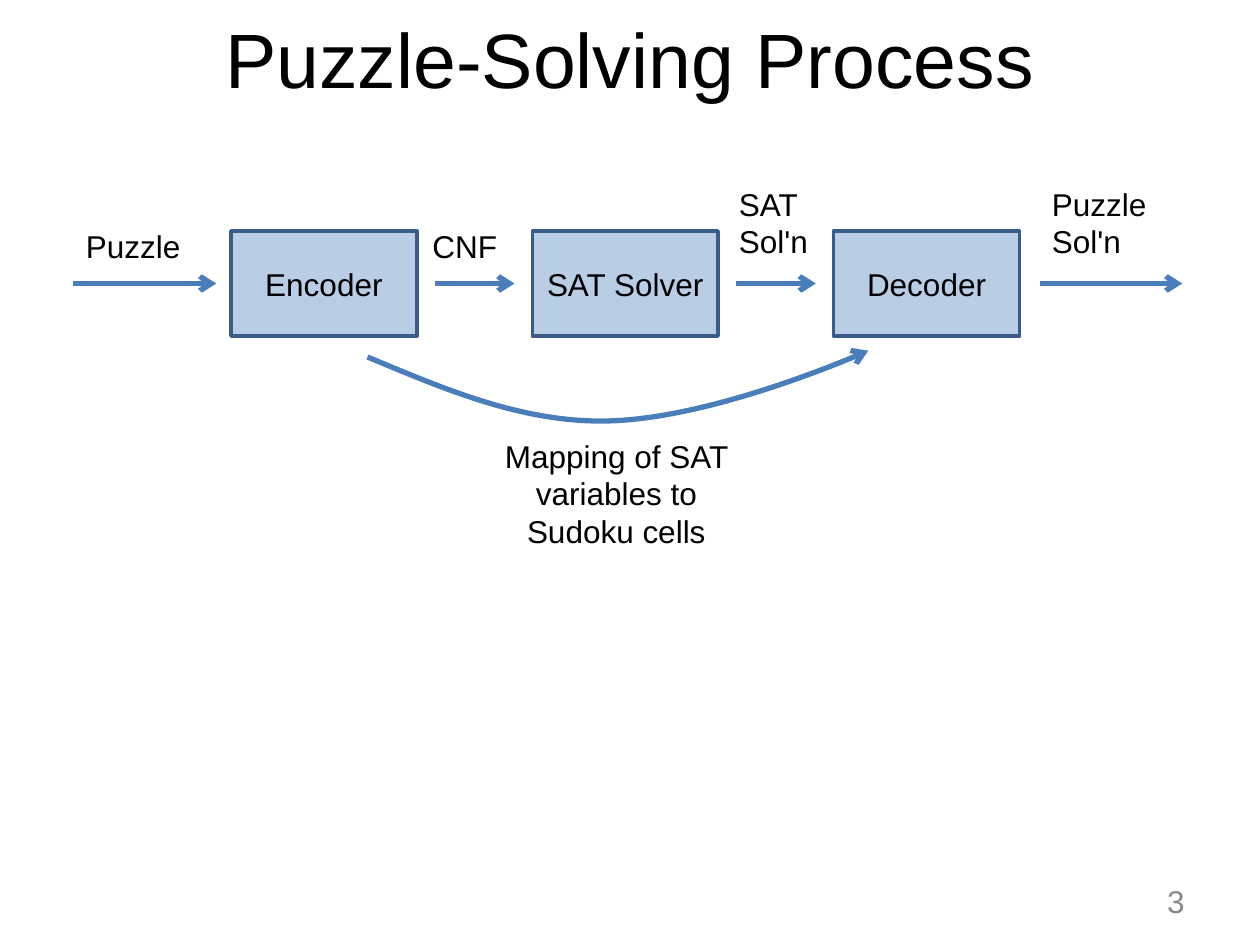
from dataclasses import dataclass

from lxml.etree import SubElement
from pptx import Presentation
from pptx.dml.color import RGBColor
from pptx.enum.shapes import MSO_CONNECTOR, MSO_SHAPE
from pptx.enum.text import MSO_ANCHOR, PP_ALIGN
from pptx.oxml.ns import qn
from pptx.util import Inches, Pt

UNIT = 1 / 12
PITCH = 28.7
SIDE = 17.7
LEVEL = 27
BLUE = "4A7EBB"
FRAME = dict(word_wrap=True, margin_left=Inches(0.1), margin_right=Inches(0.1),
             margin_top=Inches(0.05), margin_bottom=Inches(0.05))


@dataclass
class Label:
    """Text with its place in grid columns and rows."""
    text: str
    col: float
    row: float
    wide: float
    high: float
    align: PP_ALIGN = PP_ALIGN.LEFT
    anchor: MSO_ANCHOR = MSO_ANCHOR.TOP
    size: int = 18
    color: str = "000000"


@dataclass
class Arrow:
    """Level arrow between two grid columns."""
    start: float
    end: float


def grid(*cells: float) -> list:
    """Turn grid units into lengths."""
    return [Inches(cell * UNIT) for cell in cells]


def paint(target, color: str) -> None:
    """Set a hex colour on a colour format."""
    target.rgb = RGBColor.from_string(color)


def apply(target, values: dict) -> None:
    """Set each format value on the target."""
    for name, value in values.items():
        setattr(target, name, value)


def write(shape, label: Label) -> None:
    """Fill a shape with the label's text."""
    frame = shape.text_frame
    apply(frame, FRAME | dict(vertical_anchor=label.anchor))
    para = frame.paragraphs[0]
    para.text = label.text
    para.alignment = label.align
    apply(para.font, dict(name="Arial", size=Pt(label.size)))
    paint(para.font.color, label.color)


def stroke(shape, color: str, width: float) -> None:
    """Give a shape a solid line."""
    shape.line.fill.solid()
    paint(shape.line.color, color)
    shape.line.width = Pt(width)


def tip(shape) -> None:
    """Draw a blue line that ends in an open arrowhead."""
    stroke(shape, BLUE, 3)
    props = shape._element.spPr
    SubElement(props.find(qn("a:ln")), qn("a:tailEnd"), type="arrow")
    SubElement(props, qn("a:effectLst"))


def add_label(slide, label: Label) -> None:
    """Add a plain text box."""
    spot = grid(label.col, label.row, label.wide, label.high)
    write(slide.shapes.add_textbox(*spot), label)


def add_stage(slide, label: Label) -> None:
    """Add a filled box for one stage."""
    spot = grid(label.col, label.row, label.wide, label.high)
    box = slide.shapes.add_shape(MSO_SHAPE.RECTANGLE, *spot)
    box.shadow.inherit = False
    box.fill.solid()
    paint(box.fill.fore_color, "B9CDE5")
    stroke(box, "385D8A", 2)
    write(box, label)


def add_arrow(slide, arrow: Arrow) -> None:
    """Add a level arrow."""
    ends = grid(arrow.start, LEVEL, arrow.end, LEVEL)
    tip(slide.shapes.add_connector(MSO_CONNECTOR.STRAIGHT, *ends))


def add_curve(slide, points: list[tuple[float, float]]) -> None:
    """Add a curved arrow, with three points to each cubic segment."""
    spots = [tuple(grid(*point)) for point in points]
    pen = slide.shapes.build_freeform(*spots[0])
    pen.add_line_segments(spots[1:], close=False)
    curve = pen.convert_to_shape()
    curve.fill.background()
    steps = list(curve._element.iter(qn("a:lnTo")))
    for first in range(0, len(steps), 3):
        trio = steps[first:first + 3]
        route = trio[0].getparent()
        bend = SubElement(route, qn("a:cubicBezTo"))
        for step in trio:
            bend.append(step[0])
            route.remove(step)
    tip(curve)


def main() -> None:
    """Build the slide and save it."""
    deck = Presentation()
    deck.slide_width, deck.slide_height = grid(120, 90)
    slide = deck.slides.add_slide(deck.slide_layouts[6])
    mid, center = MSO_ANCHOR.MIDDLE, PP_ALIGN.CENTER

    labels = [
        Label("Puzzle-Solving Process", 6, 0, 108, 11, center, mid, 44),
        Label("Mapping of SAT variables to Sudoku cells",
              46, 41, 25.4, 12, center),
        Label("Puzzle", 7, 21, 12, 4.8),
        Label("CNF", 40, 21, 10.1, 4.8),
        Label("SAT Sol'n", 69.2, 17, 10.1, 8.4),
        Label("Puzzle Sol'n", 99, 17, 12, 8.4),
        Label("3", 86, 83.4, 28, 4.8, PP_ALIGN.RIGHT, mid, color="898989"),
    ]
    for label in labels:
        add_label(slide, label)

    for index, name in enumerate(["Encoder", "SAT Solver", "Decoder"]):
        add_stage(slide, Label(name, 22 + index * PITCH, 22, SIDE, 10,
                               center, mid))

    inner = [Arrow(41.4 + k * PITCH, 49 + k * PITCH) for k in range(2)]
    for arrow in [Arrow(7, 20.6), *inner, Arrow(99, 112.6)]:
        add_arrow(slide, arrow)

    add_curve(slide, [(35, 34), (42.4, 37.1), (49.7, 40.2), (57.6, 40.1),
                      (65.5, 40), (78, 35.5), (82.7, 33.4)])
    deck.save("out.pptx")


if __name__ == "__main__":
    main()
